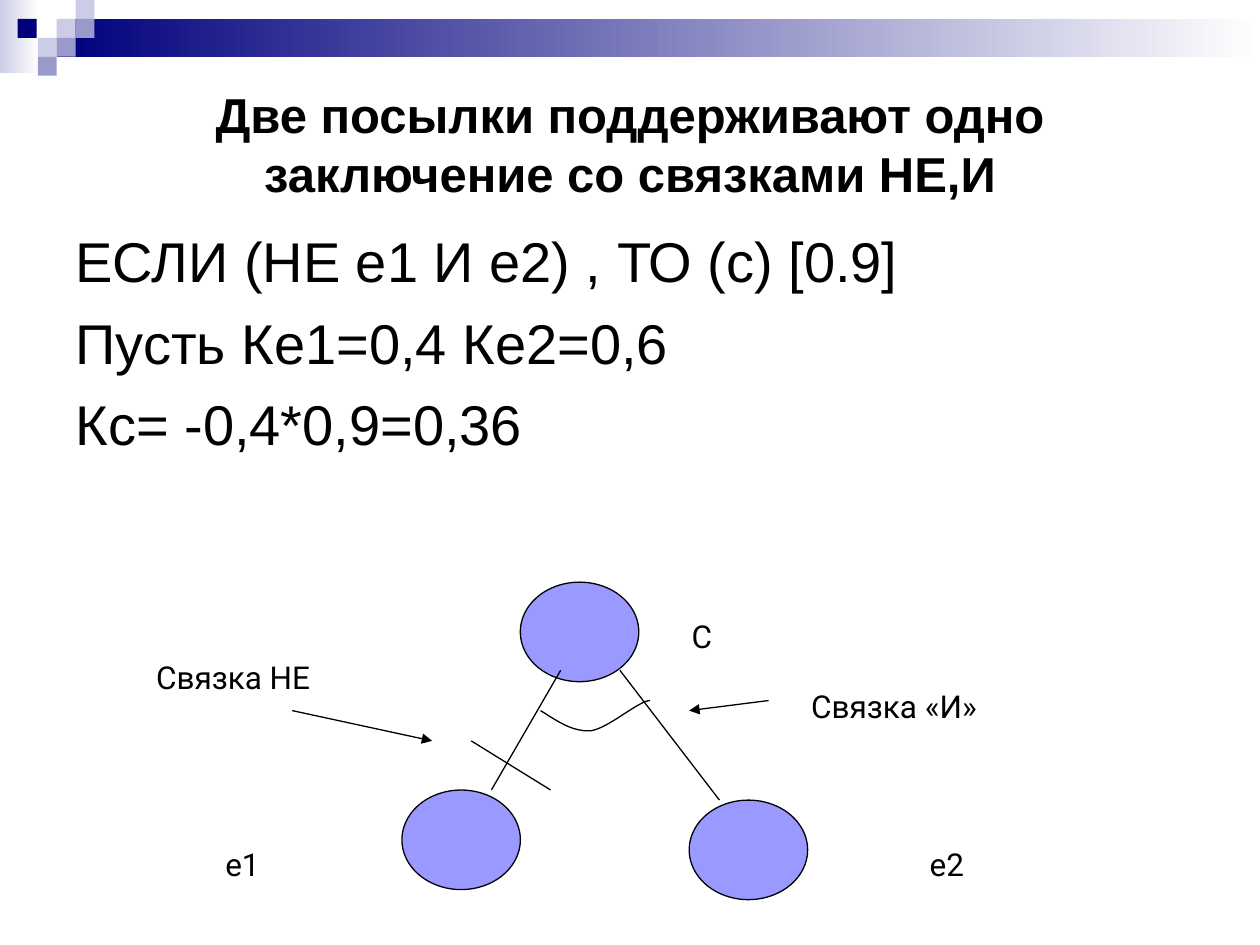
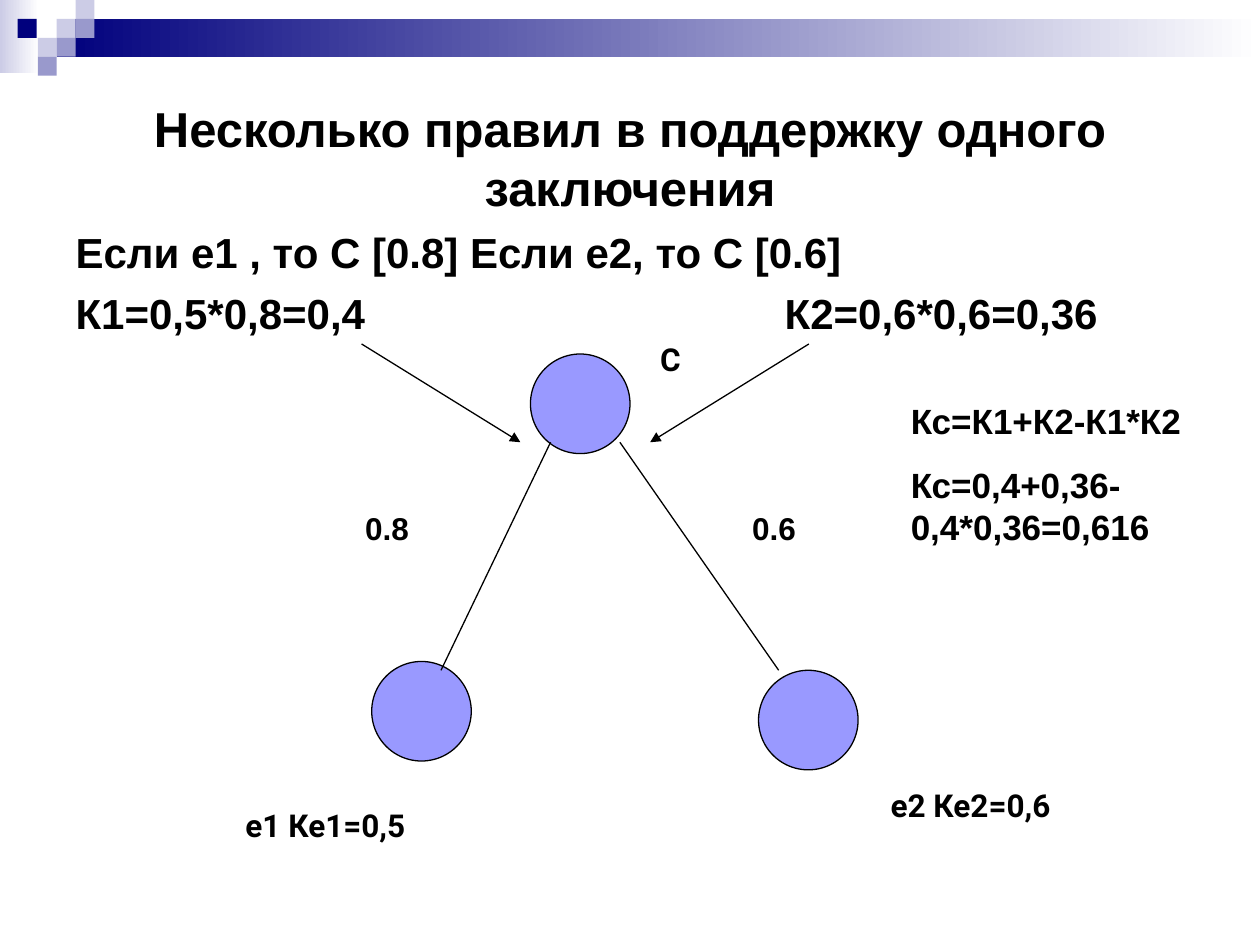
from dataclasses import dataclass
from typing import Any

from lxml.etree import SubElement
from pptx import Presentation
from pptx.dml.color import RGBColor
from pptx.enum.shapes import MSO_CONNECTOR, MSO_SHAPE
from pptx.enum.text import MSO_ANCHOR, MSO_AUTO_SIZE, PP_ALIGN
from pptx.oxml.ns import qn
from pptx.util import Inches, Pt

Point = tuple[float, float]


@dataclass(frozen=True)
class Theme:
    ink: str = "000000"
    node: str = "9999FF"
    navy: str = "00007D"
    pale: str = "CCCCE6"
    mid: str = "9999CC"
    white: str = "FFFFFF"
    font: str = "Arial"
    label_font: str = "Roboto"
    title: int = 28
    rule: int = 32
    small_rule: int = 24
    formula: int = 20
    label: int = 18
    line: float = 0.75


@dataclass(frozen=True)
class Box:
    left: float
    top: float
    width: float
    height: float

    def emu(self) -> tuple[int, int, int, int]:
        return (Inches(self.left), Inches(self.top),
                Inches(self.width), Inches(self.height))


@dataclass(frozen=True)
class Label:
    text: str
    box: Box
    font: str
    bold: bool = False


@dataclass(frozen=True)
class Link:
    start: Point
    end: Point
    arrow: bool = False


@dataclass(frozen=True)
class Tile:
    left: float
    top: float
    color: str


T = Theme()
TILE = 0.15
TILES = [
    Tile(0.45, 0.15, T.pale), Tile(0.6, 0, T.pale), Tile(0.6, 0.15, T.mid),
    Tile(0.3, 0.3, T.pale), Tile(0.14, 0.15, T.navy), Tile(0.45, 0.3, T.mid),
    Tile(0.3, 0.45, T.mid),
]
BODY = Box(0.5, 1.75, 9, 5.47)


def rgb(color: str) -> RGBColor:
    return RGBColor.from_string(color)


def write(tf: Any, text: str, *, size: int, font: str = T.font,
          bold: bool = False, align: PP_ALIGN = PP_ALIGN.LEFT,
          before: float = 0, anchor: MSO_ANCHOR = MSO_ANCHOR.TOP,
          fit: MSO_AUTO_SIZE = MSO_AUTO_SIZE.NONE) -> None:
    tf.word_wrap = True
    tf.auto_size = fit
    tf.vertical_anchor = anchor
    for i, line in enumerate(text.split("\n")):
        p = tf.add_paragraph() if i else tf.paragraphs[0]
        pPr = p._p.get_or_add_pPr()
        pPr.set("marL", "0")
        pPr.set("indent", "0")
        SubElement(pPr, qn("a:buNone"))
        p.alignment = align
        p.space_before = Pt(before if i else 0)
        r = p.add_run()
        r.text = line
        r.font.name = font
        r.font.size = Pt(size)
        r.font.bold = bold
        r.font.color.rgb = rgb(T.ink)


def add_rect(shapes: Any, box: Box, color: str, fade: bool = False) -> None:
    sp = shapes.add_shape(MSO_SHAPE.RECTANGLE, *box.emu())
    sp.shadow.inherit = False
    sp.line.fill.background()
    if fade:
        sp.fill.gradient()
        sp.fill.gradient_angle = 0
        for stop, shade in zip(sp.fill.gradient_stops, (color, T.white)):
            stop.color.rgb = rgb(shade)
    else:
        sp.fill.solid()
        sp.fill.fore_color.rgb = rgb(color)


def decorate_layout(layout: Any, s: Any) -> None:
    for ph in list(layout.placeholders)[2:]:
        layout.shapes.element.remove(ph.element)
    group = s.shapes.add_group_shape()
    add_rect(group.shapes, Box(0, 0, 0.31, 0.58), T.pale, fade=True)
    add_rect(group.shapes, Box(0.45, 0.15, 9.55, 0.3), T.navy, fade=True)
    for tile in TILES:
        add_rect(group.shapes, Box(tile.left, tile.top, TILE, TILE), tile.color)
    layout.shapes.element.insert(2, group.element)


def fill_placeholder(ph: Any, box: Box, text: str, **fmt: Any) -> None:
    ph.left, ph.top, ph.width, ph.height = box.emu()
    write(ph.text_frame, text, **fmt)


def fill_title(s: Any, text: str, height: float) -> None:
    fill_placeholder(s.shapes.title, Box(0.5, 0.5, 9, height), text,
                     size=T.title, bold=True, align=PP_ALIGN.CENTER,
                     anchor=MSO_ANCHOR.MIDDLE)


def add_nodes(s: Any, corners: list[Point], width: float, height: float) -> None:
    for left, top in corners:
        sp = s.shapes.add_shape(MSO_SHAPE.OVAL, *Box(left, top, width, height).emu())
        sp.shadow.inherit = False
        sp.fill.solid()
        sp.fill.fore_color.rgb = rgb(T.node)
        sp.line.color.rgb = rgb(T.ink)
        sp.line.width = Pt(T.line)


def add_links(s: Any, links: list[Link]) -> None:
    for link in links:
        ends = [Inches(v) for v in (*link.start, *link.end)]
        cxn = s.shapes.add_connector(MSO_CONNECTOR.STRAIGHT, *ends)
        cxn.line.color.rgb = rgb(T.ink)
        cxn.line.width = Pt(T.line)
        if link.arrow:
            SubElement(cxn.line._get_or_add_ln(), qn("a:tailEnd"), type="triangle")
        SubElement(cxn.element.spPr, qn("a:effectLst"))


def add_text(s: Any, box: Box, text: str, **fmt: Any) -> None:
    tf = s.shapes.add_textbox(*box.emu()).text_frame
    write(tf, text, fit=MSO_AUTO_SIZE.SHAPE_TO_FIT_TEXT, **fmt)


def add_labels(s: Any, labels: list[Label]) -> None:
    for label in labels:
        add_text(s, label.box, label.text, size=T.label,
                 font=label.font, bold=label.bold)


def bezier(a: Point, b: Point, c: Point, d: Point, steps: int = 16) -> list[Point]:
    points = []
    for i in range(1, steps + 1):
        t = i / steps
        u = 1 - t
        weights = (u ** 3, 3 * u * u * t, 3 * u * t * t, t ** 3)
        x, y = (sum(w * q[k] for w, q in zip(weights, (a, b, c, d))) for k in (0, 1))
        points.append((x, y))
    return points


def add_and_arc(s: Any) -> None:
    start, low, end = (4.29, 5.64), (4.69, 5.8), (5.16, 5.56)
    curve = (bezier(start, (4.42, 5.72), (4.54, 5.81), low)
             + bezier(low, (4.83, 5.78), (5.07, 5.56), end))
    builder = s.shapes.build_freeform(Inches(start[0]), Inches(start[1]))
    builder.add_line_segments([(Inches(x), Inches(y)) for x, y in curve], close=False)
    sp = builder.convert_to_shape()
    sp.shadow.inherit = False
    sp.fill.background()
    sp.line.color.rgb = rgb(T.ink)
    sp.line.width = Pt(T.line)


def build_not_and(s: Any) -> None:
    fill_title(s, "Две посылки поддерживают одно заключение со связками НЕ,И", 1.28)
    fill_placeholder(
        s.placeholders[1], BODY,
        "ЕСЛИ (НЕ е1 И е2) , ТО (с) [0.9]\nПусть Ке1=0,4 Ке2=0,6\nКс= -0,4*0,9=0,36",
        size=T.rule, before=8)
    add_nodes(s, [(4.13, 4.62), (3.19, 6.27), (5.47, 6.35)], 0.94, 0.79)
    add_links(s, [
        Link((4.92, 5.32), (5.71, 6.35)),
        Link((4.45, 5.32), (3.9, 6.27)),
        Link((3.74, 5.88), (4.37, 6.27)),
        Link((6.1, 5.56), (5.47, 5.64), arrow=True),
        Link((2.32, 5.64), (3.43, 5.88), arrow=True),
    ])
    add_and_arc(s)
    add_labels(s, [
        Label("С", Box(5.39, 4.85, 0.87, 0.4), T.label_font),
        Label("е1", Box(1.69, 6.66, 0.94, 0.4), T.label_font),
        Label("е2", Box(7.28, 6.66, 0.55, 0.4), T.label_font),
        Label("Связка «И»", Box(6.34, 5.4, 2.44, 0.4), T.label_font),
        Label("Связка НЕ", Box(1.14, 5.17, 2.21, 0.4), T.label_font),
    ])


def build_several_rules(s: Any) -> None:
    fill_title(s, "Несколько правил в поддержку одного заключения", 1.5)
    fill_placeholder(
        s.placeholders[1], BODY,
        "Если е1 , то С [0.8] Если е2, то С [0.6]\nК1=0,5*0,8=0,4",
        size=T.small_rule, bold=True, before=6)
    add_text(s, Box(6.13, 2.23, 2.9, 0.5), "К2=0,6*0,6=0,36",
             size=T.small_rule, bold=True)
    add_nodes(s, [(4.21, 2.81), (2.95, 5.25), (6.02, 5.32)], 0.79, 0.79)
    add_links(s, [
        Link((3.5, 5.32), (4.37, 3.51)),
        Link((4.92, 3.51), (6.18, 5.32)),
        Link((2.87, 2.73), (4.13, 3.51), arrow=True),
        Link((6.42, 2.73), (5.16, 3.51), arrow=True),
    ])
    add_labels(s, [
        Label("С", Box(5.14, 2.65, 0.96, 0.4), T.label_font, bold=True),
        Label("е1 Ке1=0,5", Box(1.85, 6.35, 3.7, 0.4), T.label_font, bold=True),
        Label("е2 Ке2=0,6", Box(6.97, 6.19, 2.6, 0.4), T.label_font, bold=True),
        Label("0.8", Box(2.8, 3.99, 0.71, 0.4), T.font, bold=True),
        Label("0.6", Box(5.87, 3.99, 0.79, 0.4), T.font, bold=True),
    ])
    add_text(s, Box(7.13, 3.12, 2.68, 1.28),
             "Кс=К1+К2-К1*К2\nКс=0,4+0,36-0,4*0,36=0,616",
             size=T.formula, bold=True, before=12.5)


def main() -> None:
    prs = Presentation()
    prs.slide_width, prs.slide_height = Inches(10), Inches(7.5)
    layout = prs.slide_layouts[1]
    slides = [prs.slides.add_slide(layout) for _ in range(2)]
    decorate_layout(layout, slides[0])
    for build, s in zip((build_not_and, build_several_rules), slides):
        build(s)
    prs.save("out.pptx")


if __name__ == "__main__":
    main()
